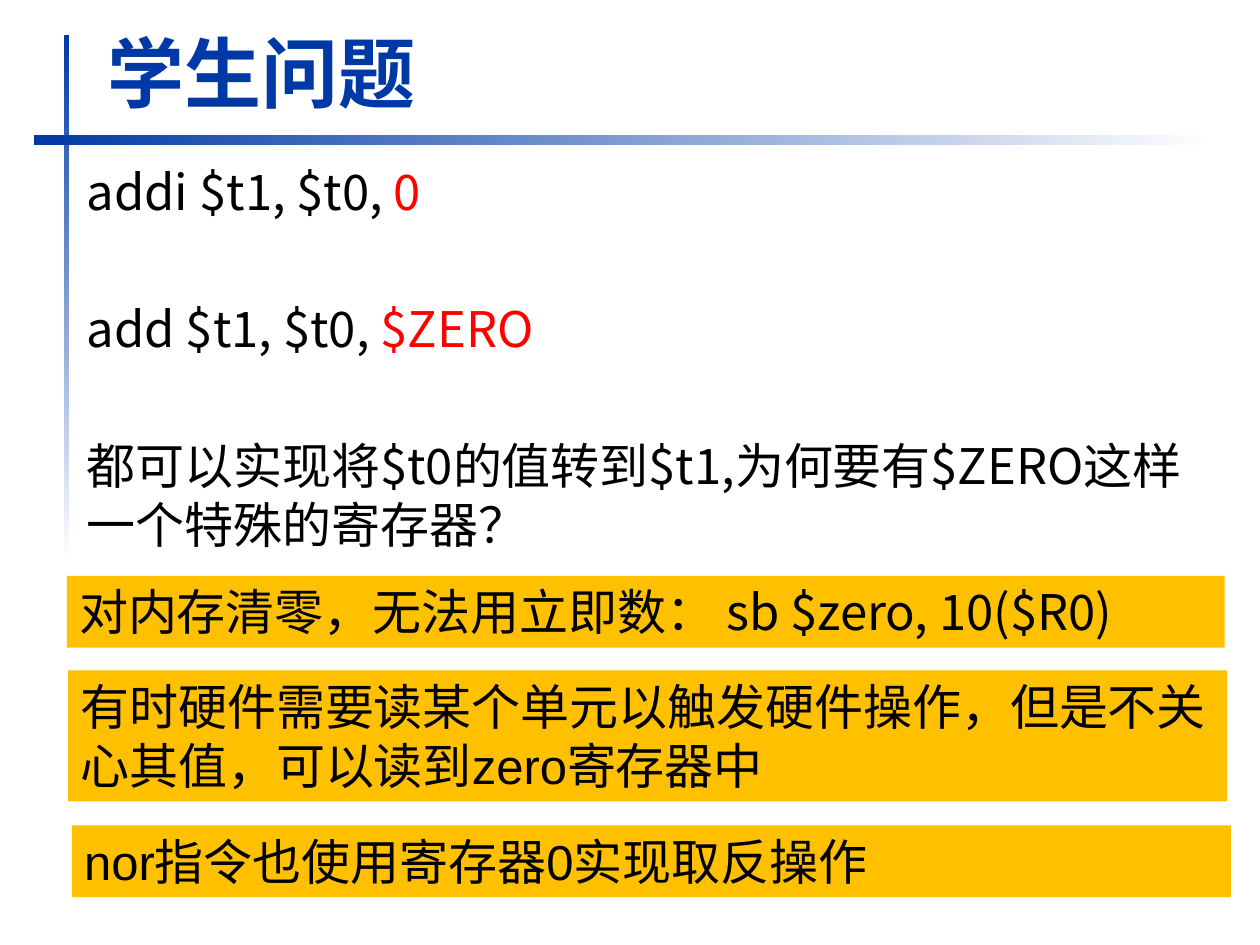
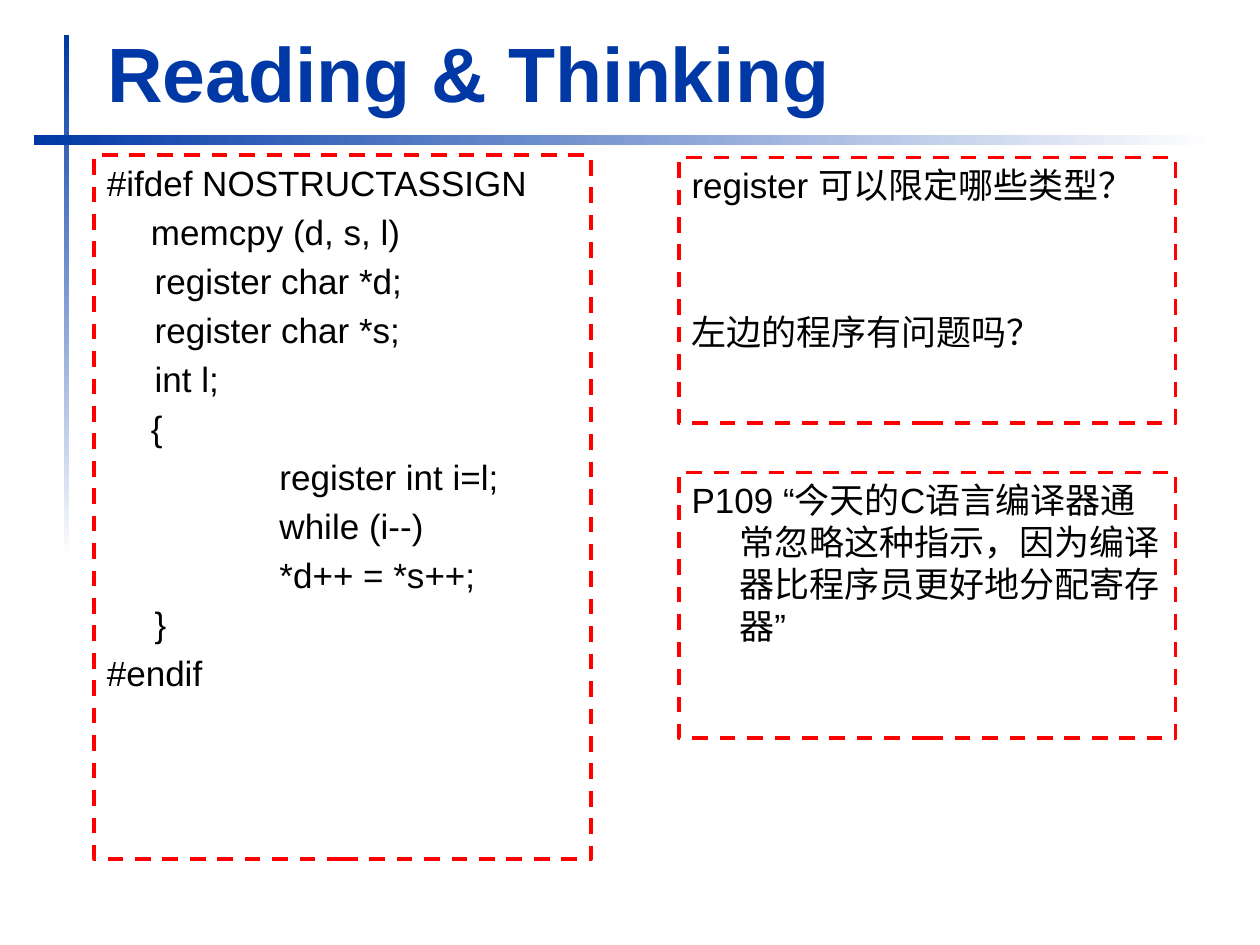
from dataclasses import dataclass

from pptx import Presentation
from pptx.dml.color import RGBColor
from pptx.enum.dml import MSO_LINE
from pptx.enum.shapes import MSO_SHAPE
from pptx.enum.text import MSO_ANCHOR, MSO_AUTO_SIZE, PP_ALIGN
from pptx.util import Pt

RECT = MSO_SHAPE.RECTANGLE
DASH = MSO_LINE.DASH
TOP, BOTTOM = MSO_ANCHOR.TOP, MSO_ANCHOR.BOTTOM
LEFT = PP_ALIGN.LEFT
FIXED = MSO_AUTO_SIZE.NONE
SCALE = 9144
TITLE_ONLY = 5


@dataclass(frozen=True)
class Theme:
    blue: RGBColor = RGBColor(0x00, 0x39, 0xA6)
    white: RGBColor = RGBColor(0xFF, 0xFF, 0xFF)
    black: RGBColor = RGBColor(0x00, 0x00, 0x00)
    red: RGBColor = RGBColor(0xFF, 0x00, 0x00)
    gold: RGBColor = RGBColor(0xFF, 0xC0, 0x00)
    latin: str = "Arial"
    hans: str = "Noto Sans CJK SC"
    head: int = 44
    body: int = 28
    code: int = 20
    edge: float = 2.25
    pitch: float = 1.2
    gap: float = 0.2


THEME = Theme()


def px(n):
    return int(n * SCALE)


def put_text(shape, paras, size=THEME.body, font=THEME.latin,
             color=THEME.black, bold=False, anchor=TOP):
    frame = shape.text_frame
    frame.word_wrap = True
    frame.auto_size = FIXED
    frame.vertical_anchor = anchor
    for i, (runs, style) in enumerate(paras):
        para = frame.paragraphs[0] if i == 0 else frame.add_paragraph()
        para.alignment = LEFT
        para.line_spacing = Pt(THEME.pitch * size)
        gap = style.get("gap", THEME.gap) if i else 0
        para.space_before = Pt(gap * size)
        props = para._p.get_or_add_pPr()
        props.set("marL", str(px(style.get("left", 0))))
        props.set("indent", str(px(style.get("first", 0))))
        for text, tint in runs:
            run = para.add_run()
            run.text = text
            run.font.size = Pt(size)
            run.font.name = font
            run.font.bold = bold
            run.font.color.rgb = tint or color
            east = run._r.rPr.makeelement(
                "{http://schemas.openxmlformats.org/drawingml/2006/main}ea",
                {"typeface": font})
            run._r.rPr.find("{*}latin").addnext(east)


def line(text, **style):
    return [(text, None)], style


def add_rect(slide, box):
    shape = slide.shapes.add_shape(RECT, *map(px, box))
    shape.shadow.inherit = False
    shape.line.fill.background()
    return shape


def add_fade(slide, box, angle):
    fill = add_rect(slide, box).fill
    fill.gradient()
    fill.gradient_angle = angle
    for stop, color, place in zip(fill.gradient_stops,
                                  (THEME.blue, THEME.white), (0, 1)):
        stop.color.rgb = color
        stop.position = place


def add_base(deck, text):
    slide = deck.slides.add_slide(deck.slide_layouts[TITLE_ONLY])
    add_fade(slide, (51, 28, 4, 417), 270)
    add_fade(slide, (27, 107, 937, 8), 0)
    title = slide.shapes.title
    title.left, title.top, title.width, title.height = map(
        px, (75, 16, 903, 83))
    put_text(title, [line(text)], size=THEME.head, color=THEME.blue,
             bold=True, anchor=BOTTOM)
    return slide


def add_query(slide, box):
    shape = slide.shapes.add_textbox(*map(px, box))
    skip = 1.6
    put_text(shape, [
        ([("addi $t1, $t0, ", None), ("0", THEME.red)], {}),
        ([("add $t1, $t0, ", None), ("$ZERO", THEME.red)], {"gap": skip}),
        line("都可以实现将$t0的值转到$t1,为何要有$ZERO这样一个特殊的寄存器？",
             gap=skip),
    ], font=THEME.hans)


def add_banner(slide, box, text, font=THEME.latin):
    shape = add_rect(slide, box)
    shape.fill.solid()
    shape.fill.fore_color.rgb = THEME.gold
    put_text(shape, [line(text)], font=font)


def add_panel(slide, box, paras):
    shape = add_rect(slide, box)
    shape.fill.background()
    shape.line.color.rgb = THEME.red
    shape.line.width = Pt(THEME.edge)
    shape.line.dash_style = DASH
    put_text(shape, paras, size=THEME.code)


def build_query(deck):
    slide = add_base(deck, "学生问题")
    add_query(slide, (59, 123, 920, 220))
    add_banner(slide, (53, 457, 919, 57),
               "对内存清零，无法用立即数： sb $zero, 10($R0)", THEME.hans)
    add_banner(slide, (54, 532, 920, 104),
               "有时硬件需要读某个单元以触发硬件操作，但是不关心其值，可以读到zero寄存器中")
    add_banner(slide, (57, 655, 920, 57), "nor指令也使用寄存器0实现取反操作")


def build_think(deck):
    slide = add_base(deck, "Reading & Thinking")
    near, tab, deep = 35, 38, 137
    code = [
        ("#ifdef NOSTRUCTASSIGN", 0),
        ("memcpy (d, s, l)", near),
        ("register char *d;", tab),
        ("register char *s;", tab),
        ("int l;", tab),
        ("{", near),
        ("register int i=l;", deep),
        ("while (i--)", deep),
        ("*d++ = *s++;", deep),
        ("}", tab),
        ("#endif", 0),
    ]
    hang = {"left": tab, "first": -tab}
    add_panel(slide, (75, 123, 394, 559),
              [line(text, left=left) for text, left in code])
    notes = [
        [line("register 可以限定哪些类型？", **hang),
         line("左边的程序有问题吗？", gap=3, **hang)],
        [line("P109 “今天的C语言编译器通常忽略这种指示，因为编译器比程序员更好地分配寄存器”",
              **hang)],
    ]
    for i, paras in enumerate(notes):
        add_panel(slide, (539, 125 + 250 * i, 394, 211), paras)


def main():
    deck = Presentation()
    deck.slide_width, deck.slide_height = px(1000), px(750)
    build_query(deck)
    build_think(deck)
    deck.save("out.pptx")


if __name__ == "__main__":
    main()
